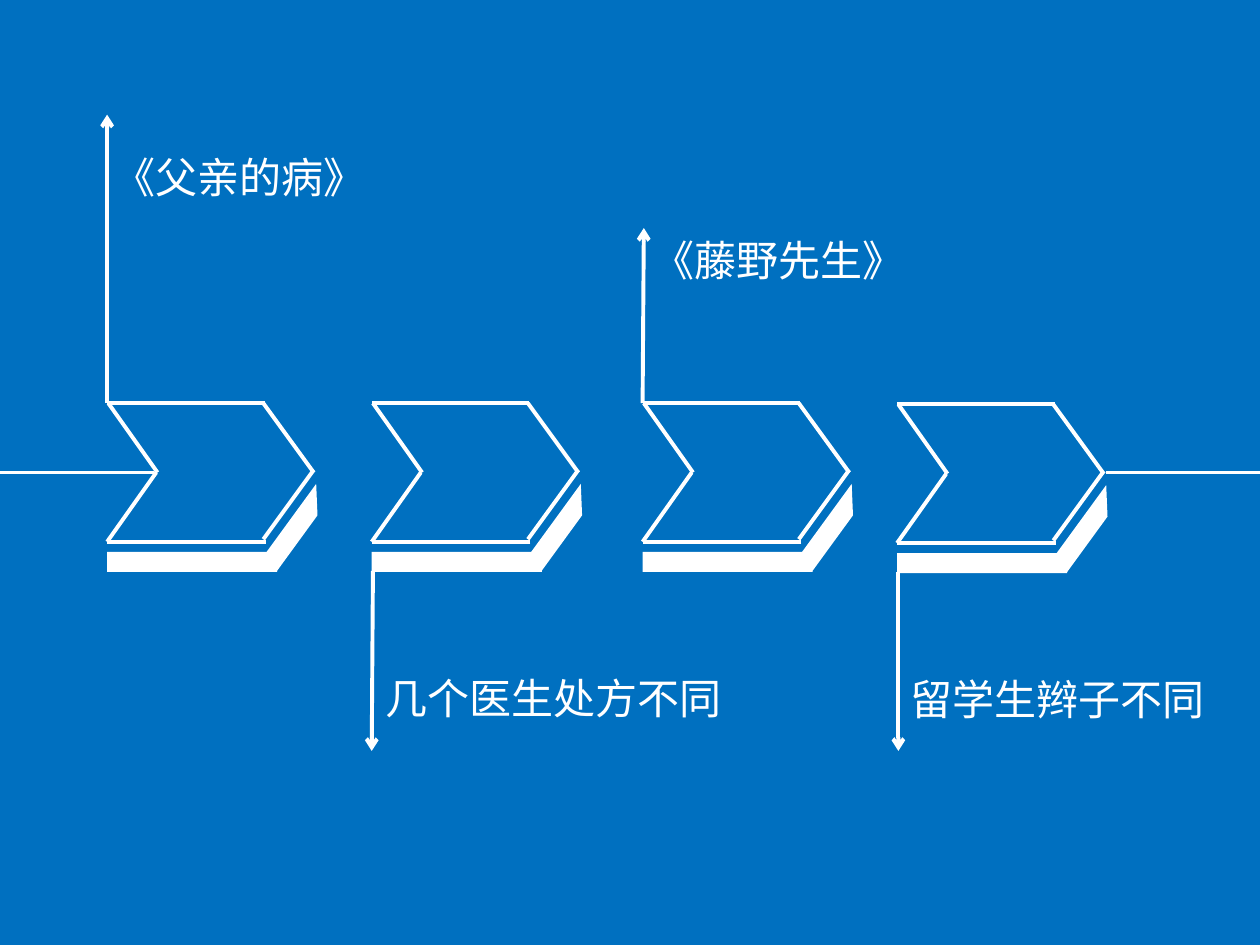
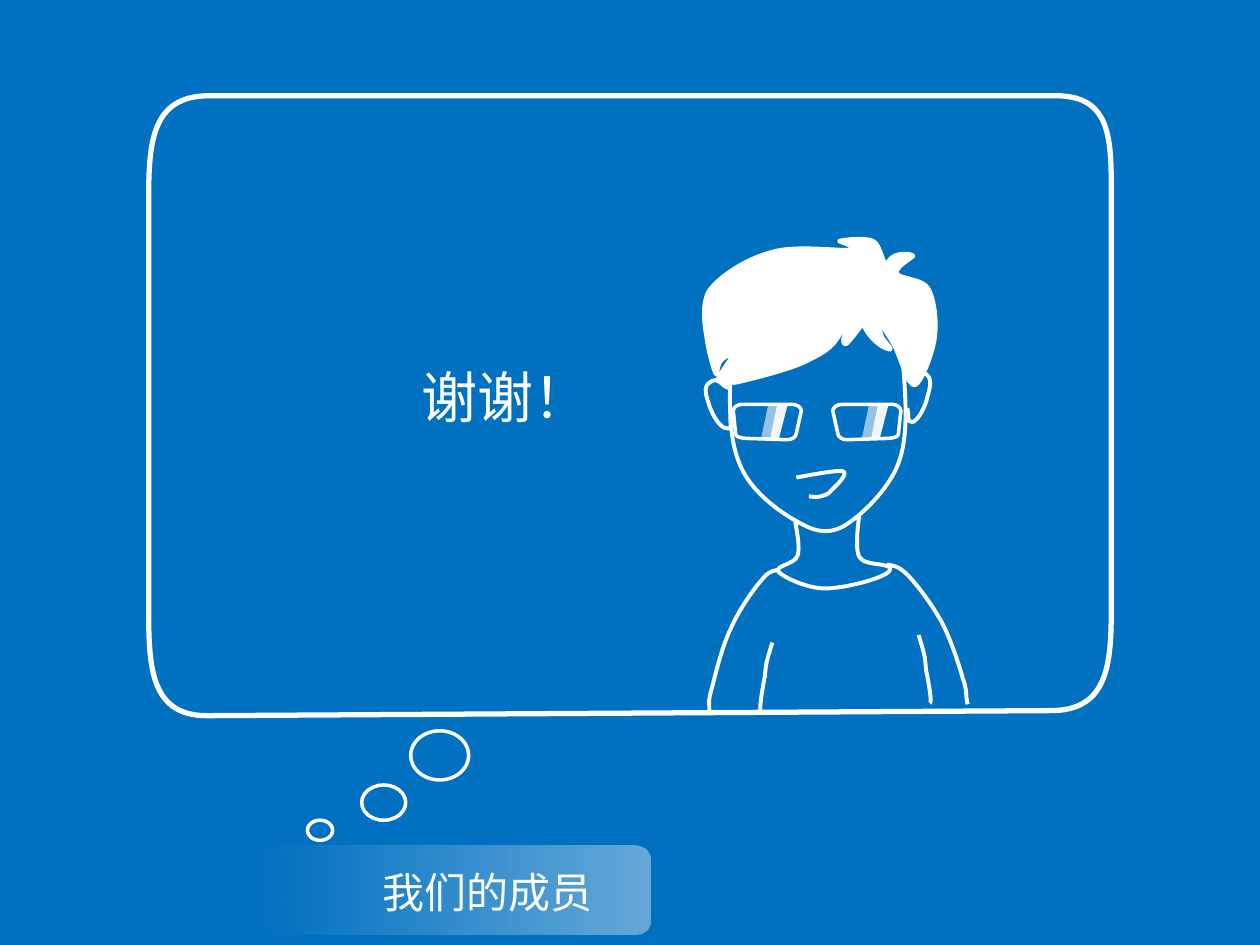
from dataclasses import dataclass

import lxml.etree
import pptx
import pptx.dml.color
import pptx.enum.shapes
import pptx.enum.text
import pptx.oxml.ns
import pptx.util

PX = 9144
qn = pptx.oxml.ns.qn


@dataclass(frozen=True)
class Theme:
    board: str = "0070C0"
    chalk: str = "FFFFFF"
    font: str = "Noto Sans CJK SC"
    label_size: int = 24
    thanks_size: int = 32
    thin: float = 2
    stroke: float = 2.25
    thick: float = 3


THEME = Theme()
CHALK = pptx.dml.color.RGBColor.from_string(THEME.chalk)

BUBBLE = [
    (118, 157), (118, 112, 121, 76, 166, 76), (838, 76),
    (883, 76, 882, 112, 882, 157), (882, 483),
    (882, 528, 879, 564, 834, 564), (164, 568),
    (119, 568, 118, 528, 118, 483),
]
NAMEPLATE = [
    (205, 730), (205, 737, 210, 742, 217, 742), (504, 742),
    (510, 742, 516, 737, 516, 730), (516, 683),
    (516, 676, 510, 671, 504, 671), (217, 671),
    (210, 671, 205, 676, 205, 683),
]
FACE = [
    (580, 289), (579, 318, 578, 347, 587, 368),
    (595, 389, 617, 405, 631, 413), (645, 421, 655, 425, 669, 418),
    (683, 410, 705, 389, 713, 368), (721, 347, 719, 319, 717, 291),
]
HAIR = [
    (686, 256), (688, 253, 674, 272, 672, 273),
    (669, 275, 668, 270, 670, 266), (670, 259, 674, 246, 669, 260),
    (664, 274, 656, 279, 642, 286), (629, 293, 600, 300, 588, 303),
    (576, 306, 570, 303, 569, 302), (568, 301, 580, 285, 581, 282),
    (581, 280, 574, 284, 572, 287), (570, 289, 569, 300, 568, 297),
    (566, 294, 562, 278, 561, 271), (560, 264, 555, 242, 563, 230),
    (572, 218, 593, 205, 612, 200), (630, 194, 665, 199, 674, 198),
    (683, 196, 663, 192, 666, 191), (669, 190, 687, 188, 693, 191),
    (700, 194, 701, 215, 705, 207), (710, 199, 724, 201, 725, 203),
    (726, 204, 710, 212, 712, 217), (714, 221, 733, 221, 737, 229),
    (742, 238, 744, 256, 742, 269), (740, 282, 731, 305, 726, 306),
    (721, 307, 715, 286, 710, 275), (705, 266, 698, 256, 697, 254),
    (696, 253, 699, 263, 700, 267), (702, 271, 712, 280, 704, 277),
    (696, 275, 683, 260, 686, 256),
]
EARS = [
    [(578, 308), (571, 305, 571, 299, 564, 303),
     (557, 307, 561, 315, 563, 322), (565, 328, 571, 340, 577, 340),
     (582, 341, 579, 335, 580, 330)],
    [(720, 303), (726, 299, 726, 293, 733, 296),
     (741, 299, 738, 308, 736, 315), (735, 321, 729, 334, 724, 335),
     (719, 335, 722, 330, 720, 324)],
]
LENS = [
    (582, 326), (582, 323, 586, 321, 588, 321), (629, 321),
    (632, 321, 636, 323, 636, 326), (632, 344),
    (632, 347, 628, 349, 625, 349), (593, 348),
    (590, 348, 584, 347, 584, 345),
]
MOUTH = [
    (632, 379), (648, 376, 665, 373, 669, 374),
    (674, 376, 663, 386, 660, 389), (657, 393, 654, 393, 651, 394),
    (648, 395, 644, 394, 642, 394),
]
COLLAR = [
    (631, 413), (633, 424, 635, 435, 633, 441),
    (631, 448, 614, 449, 618, 454), (622, 458, 640, 467, 655, 467),
    (670, 467, 702, 459, 706, 453), (711, 446, 686, 450, 682, 442),
    (678, 435, 682, 409, 682, 409),
]
ARMS = [
    [(704, 448), (709, 449, 713, 449, 720, 456),
     (728, 464, 739, 479, 747, 493), (754, 506, 761, 527, 764, 538),
     (768, 549, 766, 551, 768, 559)],
    [(729, 504), (735, 523, 734, 522, 735, 532),
     (737, 541, 740, 559, 738, 558)],
    [(613, 510), (607, 529, 608, 528, 607, 537),
     (605, 547, 602, 565, 604, 564)],
    [(619, 452), (614, 453, 610, 453, 604, 461),
     (597, 469, 586, 485, 580, 499), (573, 513, 568, 535, 565, 546),
     (562, 557, 563, 554, 563, 565)],
]


def apply_formats(target, formats):
    for attribute, value in formats.items():
        setattr(target, attribute, value)


def px(*lengths):
    return [length * PX for length in lengths]


def chalk_line(line, width):
    line.color.rgb = CHALK
    line.width = pptx.util.Pt(width)


def set_opacity(colour, percent):
    lxml.etree.SubElement(colour, qn("a:alpha"), val=str(percent * 1000))


def paint(shape, filled=False, width=None):
    shape.shadow.inherit = False
    if filled:
        shape.fill.solid()
        shape.fill.fore_color.rgb = CHALK
    else:
        shape.fill.background()
    if width:
        chalk_line(shape.line, width)
    else:
        shape.line.fill.background()


def add_stroke(shapes, start, end, arrow=False):
    stroke = shapes.add_connector(
        pptx.enum.shapes.MSO_CONNECTOR.STRAIGHT, *px(*start, *end))
    chalk_line(stroke.line, THEME.stroke)
    properties = stroke.element.spPr
    if arrow:
        lxml.etree.SubElement(
            properties.find(qn("a:ln")), qn("a:tailEnd"), type="arrow")
    lxml.etree.SubElement(properties, qn("a:effectLst"))


def add_preset(shapes, kind, frame, **look):
    paint(shapes.add_shape(kind, *px(*frame)), **look)


def add_outline(shapes, segments, closed=False, **look):
    start, *steps = segments
    points = [step[i:i + 2] for step in steps for i in range(0, len(step), 2)]
    builder = shapes.build_freeform(*start, scale=PX)
    builder.add_line_segments(points, close=closed)
    outline = builder.convert_to_shape()
    nodes = iter(list(outline.element.iter(qn("a:lnTo"))))
    for step in steps:
        group = [next(nodes) for _ in range(len(step) // 2)]
        if len(group) == 3:
            curve = lxml.etree.Element(qn("a:cubicBezTo"))
            group[0].addprevious(curve)
            for node in group:
                curve.append(node[0])
                node.getparent().remove(node)
    paint(outline, **look)
    return outline


def add_words(shapes, words, frame, size, wrap=False):
    box = shapes.add_textbox(*px(*frame))
    apply_formats(box.text_frame, {
        "word_wrap": wrap,
        "auto_size": pptx.enum.text.MSO_AUTO_SIZE.SHAPE_TO_FIT_TEXT,
    })
    run = box.text_frame.paragraphs[0].add_run()
    run.text = words
    apply_formats(run.font, {"name": THEME.font, "size": pptx.util.Pt(size)})
    run.font.color.rgb = CHALK
    lxml.etree.SubElement(
        run.font._element, qn("a:ea"), typeface=THEME.font)


def add_chevron(shapes, left, top):
    edges = [
        (40, 55, 1, 0), (125, 0, 0, 0), (164, 55, 124, 0),
        (39, 55, 0, 110), (126, 110, 0, 110), (164, 53, 124, 108),
    ]
    for x1, y1, x2, y2 in edges:
        add_stroke(shapes, (left + x1, top + y1), (left + x2, top + y2))
    add_preset(shapes, pptx.enum.shapes.MSO_SHAPE.RECTANGLE,
               (left, top + 118, 135, 16), filled=True)
    fold = [(123, 123), (166, 64), (167, 89), (135, 133)]
    add_outline(shapes, [(left + x, top + y) for x, y in fold],
                closed=True, filled=True)


def add_glare(shapes, left, top, opacity):
    band = [(6, 0), (14, 1), (7, 28), (0, 28)]
    glare = add_outline(shapes, [(left + x, top + y) for x, y in band],
                        closed=True, filled=True)
    set_opacity(glare.element.spPr.find(qn("a:solidFill"))[0], opacity)


def mirror(segments, axis_sum):
    return [tuple(axis_sum - value if i % 2 == 0 else value
                  for i, value in enumerate(step)) for step in segments]


def add_portrait(shapes):
    add_outline(shapes, FACE, width=THEME.stroke)
    add_outline(shapes, HAIR, closed=True, filled=True, width=THEME.thin)
    for ear in EARS:
        add_outline(shapes, ear, width=THEME.stroke)
    for lens in (LENS, mirror(LENS, 1297)):
        add_outline(shapes, lens, closed=True, width=THEME.thin)
    add_outline(shapes, MOUTH, width=THEME.stroke)
    for shift in (0, 80):
        add_glare(shapes, 611 + shift, 321, 94)
        add_glare(shapes, 604 + shift, 320, 58)
    for garment in (COLLAR, *ARMS):
        add_outline(shapes, garment, width=THEME.stroke)


def add_nameplate(shapes):
    plate = add_outline(shapes, NAMEPLATE, closed=True)
    plate.fill.gradient()
    plate.fill.gradient_angle = 0
    for stop in plate.fill.gradient_stops:
        stop.color.rgb = CHALK
    fade = plate.element.spPr.find(qn("a:gradFill"))
    for colour, opacity in zip(fade.iter(qn("a:srgbClr")), (0, 40)):
        set_opacity(colour, opacity)
    add_words(shapes, "我们的成员", (294, 683, 190, 50), THEME.label_size)


def build_timeline(slide):
    shapes = slide.shapes
    events = [
        ("《父亲的病》", (85, 320), (85, 320), (85, 91), (80, 115, 222, 50)),
        ("几个医生处方不同", (295, 320), (296, 453), (295, 596),
         (296, 529, 290, 50)),
        ("《藤野先生》", (510, 320), (510, 320), (511, 181),
         (508, 181, 222, 50)),
        ("留学生辫子不同", (712, 321), (713, 454), (713, 596),
         (713, 530, 256, 50)),
    ]
    for start, end in ((0, 122), (878, 1000)):
        add_stroke(shapes, (start, 375), (end, 375))
    for title, corner, stem, tip, frame in events:
        add_chevron(shapes, *corner)
        add_stroke(shapes, stem, tip, arrow=True)
        add_words(shapes, title, frame, THEME.label_size)


def build_thanks(slide):
    shapes = slide.shapes
    for puff in ((244, 651, 20, 16), (287, 623, 35, 28), (326, 580, 46, 39)):
        add_preset(shapes, pptx.enum.shapes.MSO_SHAPE.OVAL, puff,
                   width=THEME.thin)
    add_nameplate(shapes.add_group_shape().shapes)
    add_outline(shapes, BUBBLE, closed=True, width=THEME.thick)
    add_portrait(shapes.add_group_shape().shapes)
    add_words(shapes, "谢谢！", (325, 283, 190, 64), THEME.thanks_size,
              wrap=True)


def main():
    deck = pptx.Presentation()
    apply_formats(deck, {"slide_width": 1000 * PX, "slide_height": 750 * PX})
    board = deck.slide_master.background.fill
    board.solid()
    board.fore_color.rgb = pptx.dml.color.RGBColor.from_string(THEME.board)
    for build in (build_timeline, build_thanks):
        build(deck.slides.add_slide(deck.slide_layouts[6]))
    deck.save("out.pptx")


if __name__ == "__main__":
    main()
